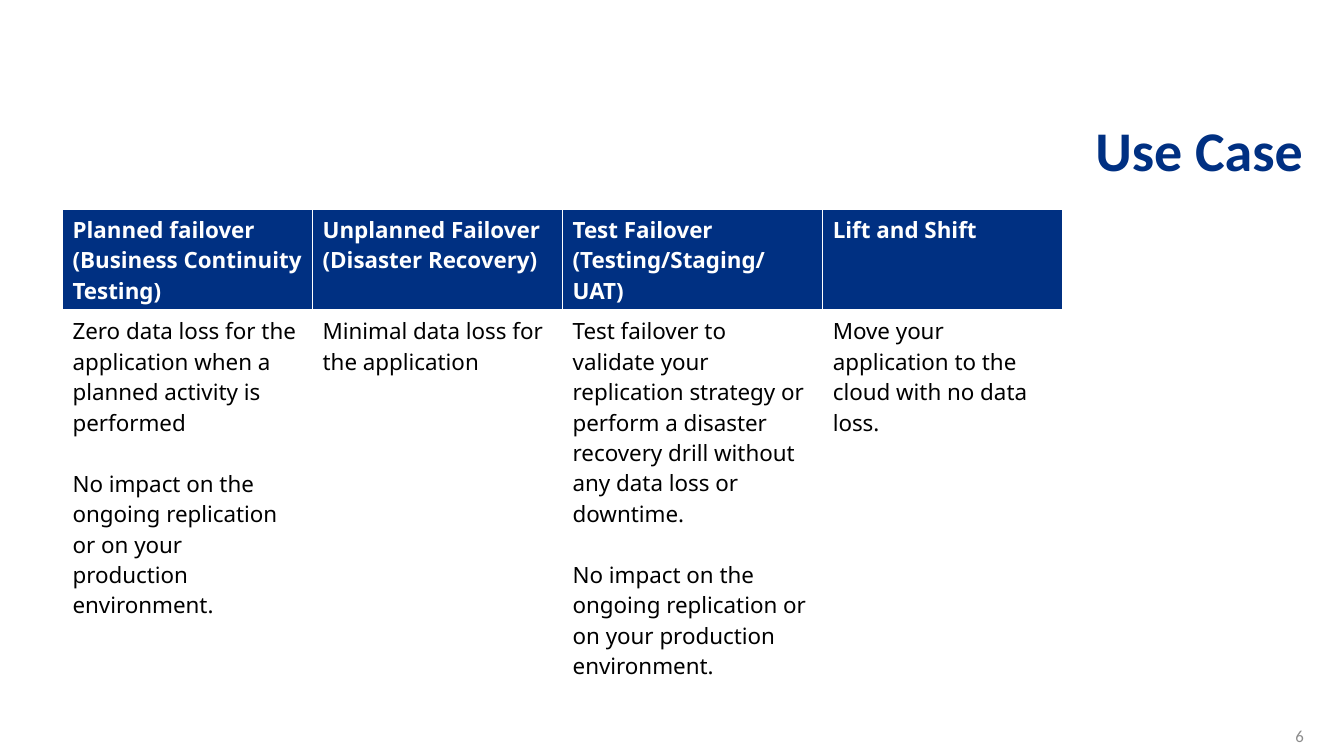
import pptx
import pptx.util
import pptx.dml.color
import pptx.enum.text
import pptx.oxml

Inch, Pt = pptx.util.Inches, pptx.util.Pt
NAVY, WHITE, BLACK, GREY = "003082", "FFFFFF", "000000", "8C8C8C"
NS = "http://schemas.openxmlformats.org/drawingml/2006/main"


def style(frame, font, size, ink, bold=False):
    for para in frame.paragraphs:
        for run in para.runs:
            run.font.name, run.font.size, run.font.bold = font, Pt(size), bold
            run.font.color.rgb = pptx.dml.color.RGBColor.from_string(ink)


def edge(cell, side, width):
    line = pptx.oxml.parse_xml(
        f'<a:ln{side} xmlns:a="{NS}" w="{Pt(width)}"><a:solidFill>'
        f'<a:srgbClr val="{WHITE}"/></a:solidFill></a:ln{side}>')
    cell._tc.get_or_add_tcPr().append(line)


deck = pptx.Presentation()
deck.slide_width, deck.slide_height = Inch(13.33), Inch(7.5)
slide = deck.slides.add_slide(deck.slide_layouts[6])

# Table content: one heading and one body per use case
impact = "No impact on the ongoing replication or on your production environment."
cases = [
    (2.48, "Planned failover\u00a0\n(Business Continuity Testing)",
     "Zero data loss for the application when a planned activity is performed\n" + impact),
    (2.48, "Unplanned Failover\n(Disaster Recovery)",
     "Minimal data loss for the application"),
    (2.58, "Test Failover\n(Testing/Staging/UAT)",
     "Test failover to validate your replication strategy or perform a disaster "
     "recovery drill without any data loss or downtime. \n" + impact),
    (2.38, "Lift and Shift",
     "Move your application to the cloud with no data loss."),
]

# Table; rows grow to fit their text
left, row = 0.62, 0.41
wide = sum(case[0] for case in cases)
table = slide.shapes.add_table(2, len(cases), Inch(left), Inch(2.08),
                               Inch(wide), Inch(2 * row)).table
for col, (width, *texts) in enumerate(cases):
    table.columns[col].width = Inch(width)
    for level, text in enumerate(texts):
        head = level == 0
        cell = table.cell(level, col)
        for side in "LRTB":
            edge(cell, side, 3 if (head and side == "B") or (not head and side == "T") else 1)
        cell.fill.solid()
        cell.fill.fore_color.rgb = pptx.dml.color.RGBColor.from_string(NAVY if head else WHITE)
        cell.text_frame.text = text
        style(cell.text_frame, "Noto Sans", 16, WHITE if head else BLACK, head)
        if not head:
            for para in cell.text_frame.paragraphs[1:]:
                para.space_before = Pt(22)

# Title and page number, both set right
labels = [
    ("Use Case", left, 0.92, 12.4, 1.11, 40, NAVY, True),
    ("6", 12.38, 7.1, 0.65, 0.4, 12, GREY, False),
]
for text, x, y, width, height, size, ink, bold in labels:
    frame = slide.shapes.add_textbox(Inch(x), Inch(y), Inch(width), Inch(height)).text_frame
    frame.word_wrap = True
    frame.vertical_anchor = pptx.enum.text.MSO_ANCHOR.MIDDLE
    frame.text = text
    frame.paragraphs[0].alignment = pptx.enum.text.PP_ALIGN.RIGHT
    style(frame, "Calibri", size, ink, bold)

deck.save("out.pptx")
